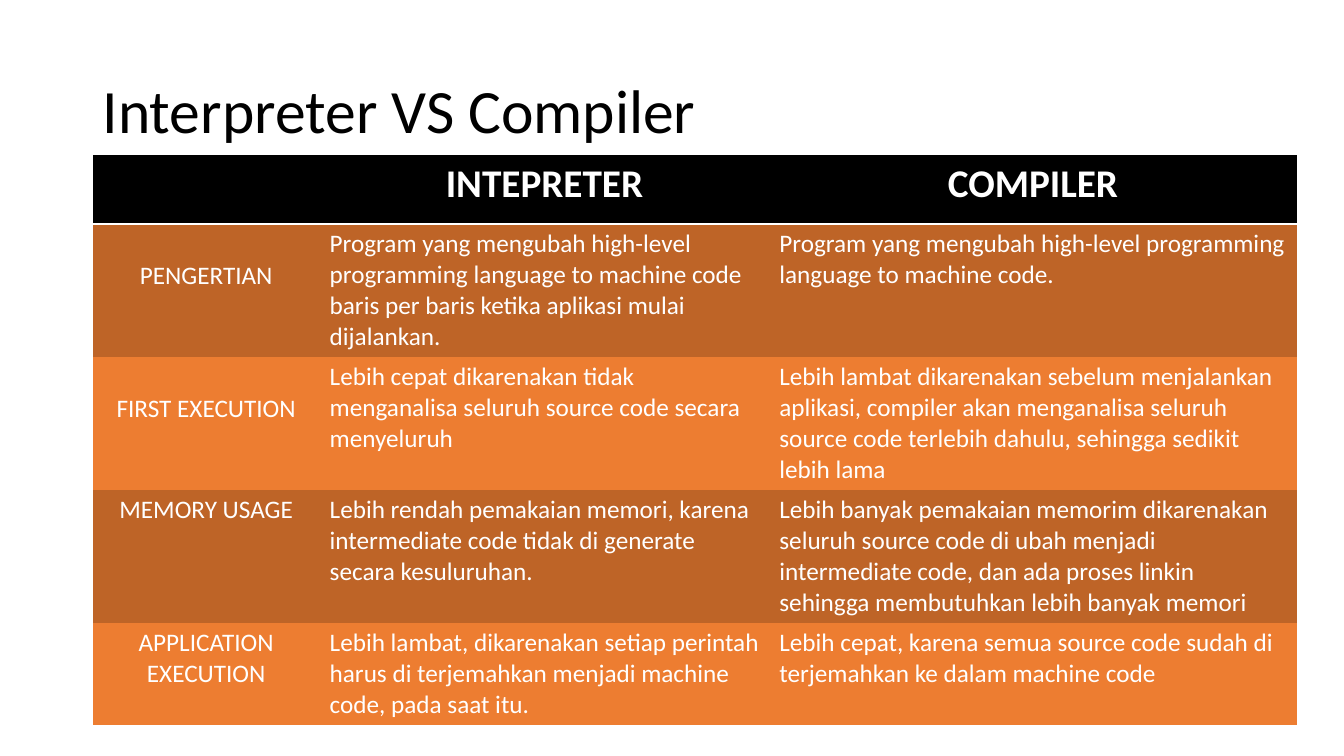
from lxml import etree
from pptx import Presentation
from pptx.dml.color import RGBColor
from pptx.enum.text import MSO_ANCHOR, PP_ALIGN
from pptx.oxml import parse_xml
from pptx.util import Inches, Pt

LEFT, CENTER = PP_ALIGN.LEFT, PP_ALIGN.CENTER
MIDDLE = MSO_ANCHOR.MIDDLE
NS = "http://schemas.openxmlformats.org/drawingml/2006/main"
PLAIN_TABLE = "{2D5ABB26-0587-4C30-8999-92F81FD0307C}"

BLACK, WHITE, BROWN, ORANGE = "000000", "FFFFFF", "BE6427", "ED7D31"
COL_WIDTHS = [2.25, 4.46, 5.23]
ROW_HEIGHTS = [0.68, 1.32, 1.32, 1.32, 1.01]
LOWERED_LABELS = ("PENGERTIAN", "FIRST EXECUTION")
ROWS = [
    ("", "INTEPRETER", "COMPILER"),
    ("PENGERTIAN",
     "Program yang mengubah high-level programming language to machine code "
     "baris per baris ketika aplikasi mulai dijalankan.",
     "Program yang mengubah high-level programming language to machine code."),
    ("FIRST EXECUTION",
     "Lebih cepat dikarenakan tidak menganalisa seluruh source code secara menyeluruh",
     "Lebih lambat dikarenakan sebelum menjalankan aplikasi, compiler akan menganalisa "
     "seluruh source code terlebih dahulu, sehingga sedikit lebih lama"),
    ("MEMORY USAGE",
     "Lebih rendah pemakaian memori, karena intermediate code tidak di generate "
     "secara kesuluruhan.",
     "Lebih banyak pemakaian memorim dikarenakan seluruh source code di ubah menjadi "
     "intermediate code, dan ada proses linkin sehingga membutuhkan lebih banyak memori"),
    ("APPLICATION EXECUTION",
     "Lebih lambat, dikarenakan setiap perintah harus di terjemahkan menjadi machine code, "
     "pada saat itu.",
     "Lebih cepat, karena semua source code sudah di terjemahkan ke dalam machine code"),
]


def rgb(color):
    """Turn a hex string into a colour."""
    return RGBColor.from_string(color)


def write(tf, text, font="Calibri", size=18, color=WHITE, bold=False, align=LEFT, spacing=1.0):
    """Write one formatted paragraph into a text frame."""
    p = tf.paragraphs[0]
    p.alignment = align
    p.line_spacing = spacing
    r = p.add_run()
    r.text = text
    r.font.name, r.font.size, r.font.bold = font, Pt(size), bold
    r.font.color.rgb = rgb(color)


class SlideBuilder:
    """Hold the font and the current slide, and add its elements."""

    def __init__(self, slide, font="Calibri"):
        """Keep the slide and its font."""
        self.slide = slide
        self.font = font

    def title(self, text, x, y, w, h):
        """Add the slide title."""
        tf = self.slide.shapes.add_textbox(Inches(x), Inches(y), Inches(w), Inches(h)).text_frame
        tf.word_wrap = True
        tf.vertical_anchor = MIDDLE
        write(tf, text, font=self.font, size=44, color=BLACK, spacing=0.9)

    def border(self, cell, side, color, width):
        """Draw one side of a cell."""
        ln = parse_xml(
            f'<a:{side} xmlns:a="{NS}" w="{Pt(width)}"><a:solidFill>'
            f'<a:srgbClr val="{color}"/></a:solidFill></a:{side}>')
        cell._tc.get_or_add_tcPr().insert(0, ln)

    def table(self, rows, x, y, widths, heights):
        """Add the comparison table with a header and alternating rows."""
        sp = self.slide.shapes.add_table(
            len(rows), len(widths), Inches(x), Inches(y),
            Inches(sum(widths)), Inches(sum(heights)))
        tbl = sp.table
        tbl.horz_banding = False
        tbl._tbl.tblPr.find(etree.QName(NS, "tableStyleId")).text = PLAIN_TABLE
        for col, width in zip(tbl.columns, widths):
            col.width = Inches(width)
        for i, (row, height) in enumerate(zip(rows, heights)):
            tbl.rows[i].height = Inches(height)
            for j, text in enumerate(row):
                self.cell(tbl.cell(i, j), text, i, j)

    def cell(self, cell, text, i, j):
        """Fill one table cell according to its row and column."""
        header = i == 0
        cell.fill.solid()
        cell.fill.fore_color.rgb = rgb(BLACK if header else (ORANGE, BROWN)[i % 2])
        if header:
            self.border(cell, "lnB", WHITE, 2)
        if text in LOWERED_LABELS:
            cell.margin_top = Inches(0.36)
        if text:
            write(cell.text_frame, text, font=self.font, size=28 if header else 18,
                  bold=header, align=CENTER if header or j == 0 else LEFT)


def main():
    """Build and save the slide."""
    prs = Presentation()
    prs.slide_width, prs.slide_height = Inches(13.33), Inches(7.5)
    s = SlideBuilder(prs.slides.add_slide(prs.slide_layouts[6]))
    s.title("Interpreter VS Compiler", 0.92, 0.4, 11.5, 1.45)
    s.table(ROWS, 0.92, 1.54, COL_WIDTHS, ROW_HEIGHTS)
    prs.save("out.pptx")


if __name__ == "__main__":
    main()
